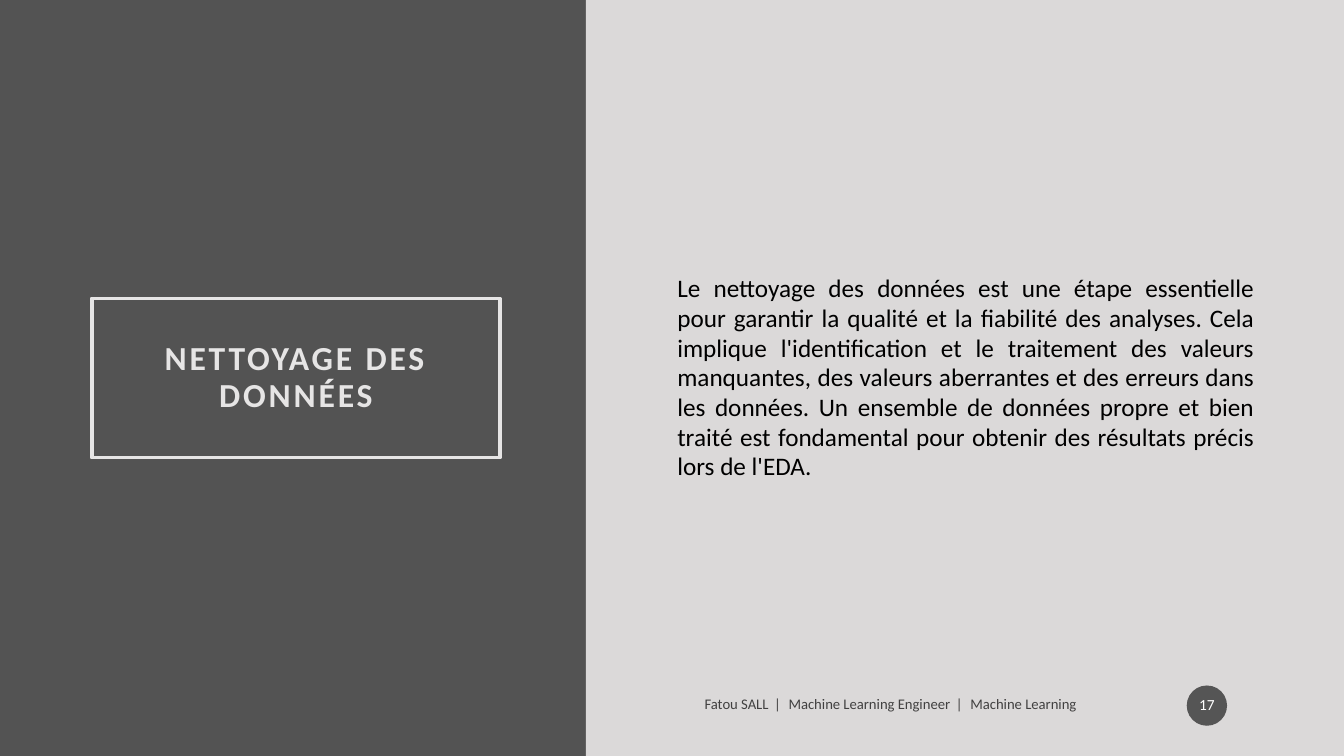
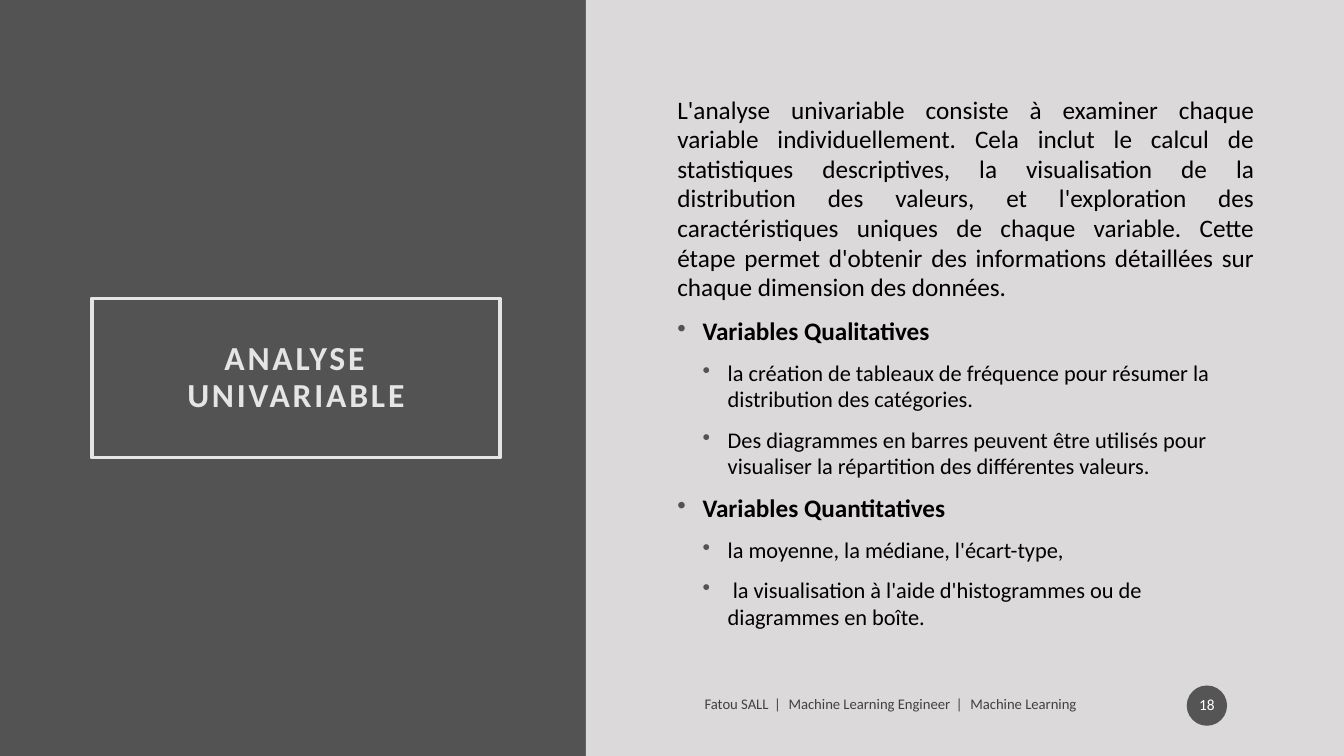
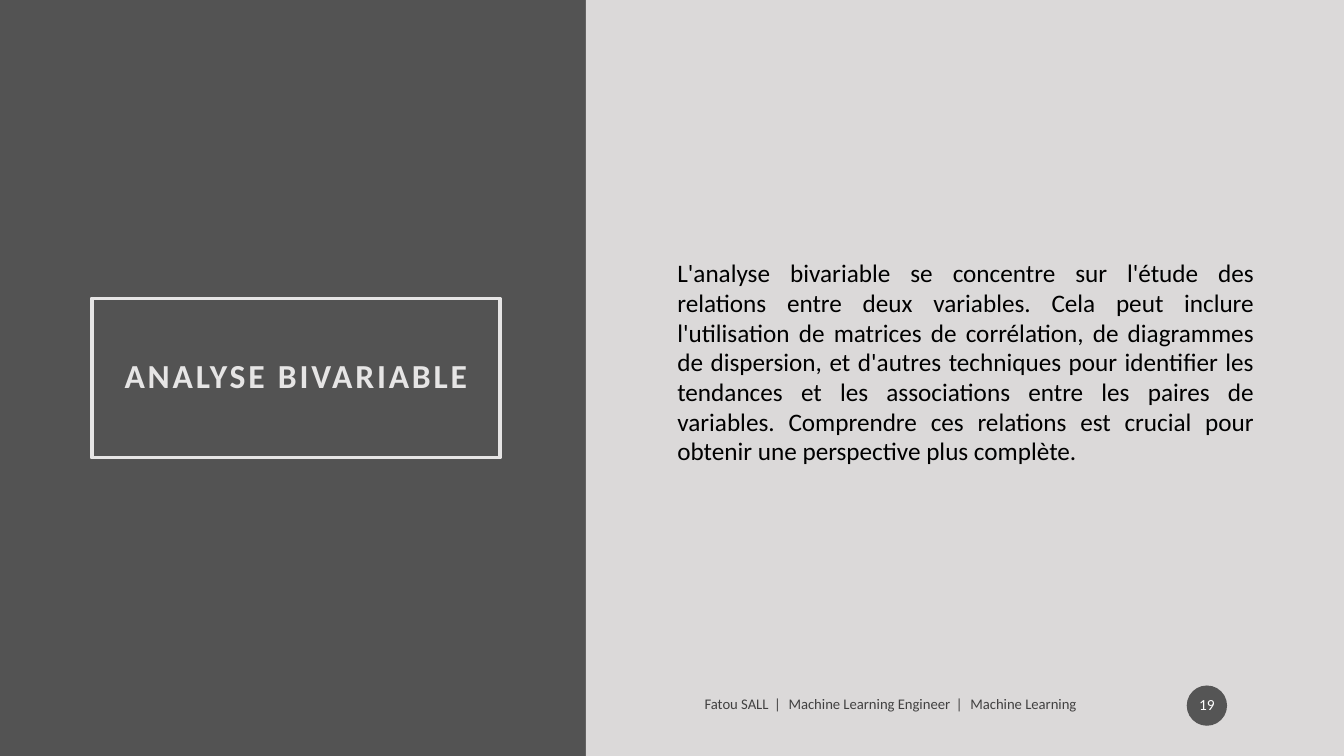
from lxml import etree
from pptx import Presentation
from pptx.dml.color import RGBColor
from pptx.enum.shapes import MSO_SHAPE
from pptx.enum.text import MSO_ANCHOR, MSO_AUTO_SIZE, PP_ALIGN
from pptx.oxml.ns import qn
from pptx.util import Inches, Pt

RECTANGLE = MSO_SHAPE.RECTANGLE
OVAL = MSO_SHAPE.OVAL
MIDDLE = MSO_ANCHOR.MIDDLE
NO_AUTOFIT = MSO_AUTO_SIZE.NONE
LEFT = PP_ALIGN.LEFT
CENTER = PP_ALIGN.CENTER
JUSTIFY = PP_ALIGN.JUSTIFY

SLIDE_WIDTH = Inches(13.33)
SLIDE_HEIGHT = Inches(7.5)
FONT = "Calibri"
DARK = "535353"
PALE = "E6E5E5"
PANEL = "DBD9D9"
BADGE = "1D1D1D"
BLACK = "000000"
WHITE = "FFFFFF"

TITLE_AREA = (6.83, 39.47, 30.38, 21.07)
PANEL_AREA = (43.59, 0, 56.41, 100)
BODY_AREA = (49.66, 11.73, 44.41, 76.53)
FOOTER_AREA = (51.69, 90.8, 35.11, 4.53)
BADGE_AREA = (88.3, 90.67, 3, 5.33)

BODY_INSETS = (0.1, 0.05, 0.1, 0.05)
RAISED_INSETS = (0.1, 0, 0.1, 0.3)
FOOTER_PARTS = ["Fatou SALL", "Machine Learning Engineer", "Machine Learning"]
FIRST_NUMBER = 17

INTRODUCTION, HEADING, ITEM = range(3)

SLIDES = [
    ("NETTOYAGE DES DONNÉES", BODY_INSETS, [
        (INTRODUCTION, "Le nettoyage des données est une étape essentielle pour garantir la qualité et la fiabilité des analyses. Cela implique l'identification et le traitement des valeurs manquantes, des valeurs aberrantes et des erreurs dans les données. Un ensemble de données propre et bien traité est fondamental pour obtenir des résultats précis lors de l'EDA."),
    ]),
    ("ANALYSE UNIVARIABLE", RAISED_INSETS, [
        (INTRODUCTION, "L'analyse univariable consiste à examiner chaque variable individuellement. Cela inclut le calcul de statistiques descriptives, la visualisation de la distribution des valeurs, et l'exploration des caractéristiques uniques de chaque variable. Cette étape permet d'obtenir des informations détaillées sur chaque dimension des données."),
        (HEADING, "Variables Qualitatives"),
        (ITEM, "la création de tableaux de fréquence pour résumer la distribution des catégories."),
        (ITEM, "Des diagrammes en barres peuvent être utilisés pour visualiser la répartition des différentes valeurs."),
        (HEADING, "Variables Quantitatives"),
        (ITEM, "la moyenne, la médiane, l'écart-type,"),
        (ITEM, " la visualisation à l'aide d'histogrammes ou de diagrammes en boîte."),
    ]),
    ("ANALYSE BIVARIABLE", RAISED_INSETS, [
        (INTRODUCTION, "L'analyse bivariable se concentre sur l'étude des relations entre deux variables. Cela peut inclure l'utilisation de matrices de corrélation, de diagrammes de dispersion, et d'autres techniques pour identifier les tendances et les associations entre les paires de variables. Comprendre ces relations est crucial pour obtenir une perspective plus complète."),
    ]),
]


def color(value):
    return RGBColor.from_string(value)


def place(area):
    left, top, width, height = area
    return (int(SLIDE_WIDTH * left / 100), int(SLIDE_HEIGHT * top / 100),
            int(SLIDE_WIDTH * width / 100), int(SLIDE_HEIGHT * height / 100))


def set_frame(shape, insets):
    frame = shape.text_frame
    frame.word_wrap = True
    frame.auto_size = NO_AUTOFIT
    frame.vertical_anchor = MIDDLE
    (frame.margin_left, frame.margin_top,
     frame.margin_right, frame.margin_bottom) = map(Inches, insets)
    return frame


def style(paragraph, size, hex_color, align, bold=False, line_spacing=None):
    paragraph.alignment = align
    paragraph.line_spacing = line_spacing
    font = paragraph.font
    font.name = FONT
    font.size = Pt(size)
    font.bold = bold
    font.color.rgb = color(hex_color)


def set_transparent(parent, percent):
    for fill in parent.iter(qn("a:srgbClr")):
        etree.SubElement(fill, qn("a:alpha"), val=str(percent * 1000))


def set_tracking(run, points):
    run.font._element.set("spc", str(int(points * 100))) if hasattr(run.font, "_element") \
        else run._r.get_or_add_rPr().set("spc", str(int(points * 100)))


def add_bullet(paragraph, level):
    properties = paragraph._p.get_or_add_pPr()
    properties.set("marL", str(Inches(0.25 * level)))
    properties.set("indent", str(Inches(-0.25)))
    bullet_color = etree.SubElement(properties, qn("a:buClr"))
    etree.SubElement(bullet_color, qn("a:srgbClr"), val=DARK)
    etree.SubElement(properties, qn("a:buChar"), char="•")


def add_filled_shape(slide, kind, area, fill):
    shape = slide.shapes.add_shape(kind, *place(area))
    shape.shadow.inherit = False
    shape.fill.solid()
    shape.fill.fore_color.rgb = color(fill)
    shape.line.fill.background()
    return shape


def set_title(slide, text):
    title = slide.shapes.title
    title.left, title.top, title.width, title.height = place(TITLE_AREA)
    title.line.color.rgb = color(PALE)
    title.line.width = Pt(2.5)
    paragraph = set_frame(title, (0.2, 0.2, 0.2, 0.2)).paragraphs[0]
    style(paragraph, 24, PALE, CENTER, bold=True, line_spacing=0.9)
    run = paragraph.add_run()
    run.text = text
    set_tracking(run, 2)


def add_body(slide, insets, entries):
    frame = set_frame(slide.shapes.add_textbox(*place(BODY_AREA)), insets)
    for index, (level, text) in enumerate(entries):
        paragraph = frame.add_paragraph() if index else frame.paragraphs[0]
        paragraph.text = text
        if level != INTRODUCTION:
            add_bullet(paragraph, level)
        if index:
            paragraph.space_before = Pt(10)
        style(paragraph, 16 if level == ITEM else 18, BLACK,
              JUSTIFY if level == INTRODUCTION else LEFT,
              bold=level == HEADING, line_spacing=0.98)


def add_footer(slide):
    box = slide.shapes.add_textbox(*place(FOOTER_AREA))
    paragraph = set_frame(box, BODY_INSETS).paragraphs[0]
    style(paragraph, 10.5, BLACK, LEFT)
    set_transparent(paragraph._p, 70)
    for index, part in enumerate(FOOTER_PARTS):
        if index:
            separator = paragraph.add_run()
            separator.text = " | "
            set_tracking(separator, 1.6)
        paragraph.add_run().text = part


def add_number_badge(slide, number):
    badge = add_filled_shape(slide, OVAL, BADGE_AREA, BADGE)
    set_transparent(badge._element.spPr, 70)
    paragraph = set_frame(badge, (0.02, 0.05, 0.02, 0.05)).paragraphs[0]
    paragraph.text = str(number)
    style(paragraph, 11, WHITE, CENTER, line_spacing=0.9)


def main():
    presentation = Presentation()
    presentation.slide_width = SLIDE_WIDTH
    presentation.slide_height = SLIDE_HEIGHT
    background = presentation.slide_master.background.fill
    background.solid()
    background.fore_color.rgb = color(DARK)
    title_only = presentation.slide_layouts.get_by_name("Title Only")
    for number, (title, insets, entries) in enumerate(SLIDES, FIRST_NUMBER):
        slide = presentation.slides.add_slide(title_only)
        set_title(slide, title)
        add_filled_shape(slide, RECTANGLE, PANEL_AREA, PANEL)
        add_body(slide, insets, entries)
        add_footer(slide)
        add_number_badge(slide, number)
    presentation.save("out.pptx")


if __name__ == "__main__":
    main()
